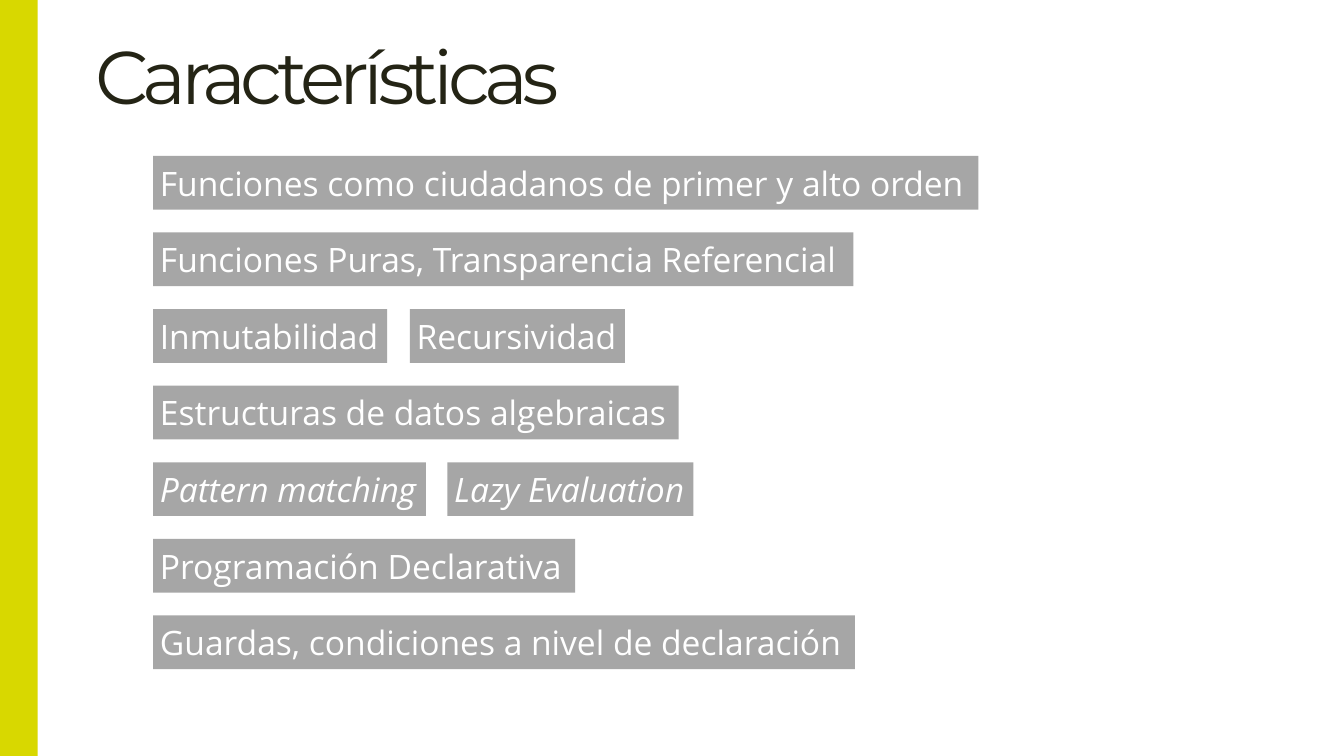
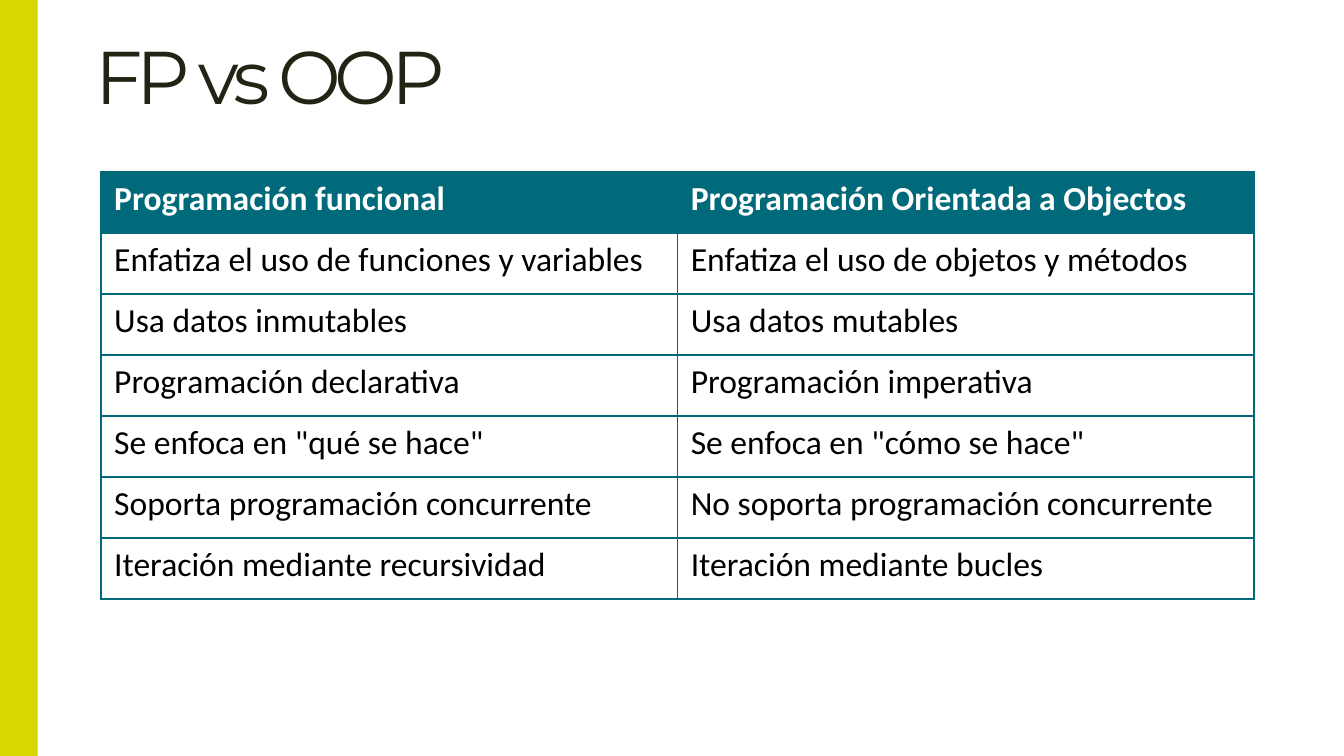
from dataclasses import dataclass

from lxml import etree
from pptx import Presentation
from pptx.dml.color import RGBColor
from pptx.enum.shapes import MSO_SHAPE
from pptx.enum.text import MSO_ANCHOR, MSO_AUTO_SIZE, PP_ALIGN
from pptx.oxml.ns import qn
from pptx.slide import Slide
from pptx.util import Inches, Pt

RECT = MSO_SHAPE.RECTANGLE
TOP, BOTTOM = MSO_ANCHOR.TOP, MSO_ANCHOR.BOTTOM
LEFT = PP_ALIGN.LEFT
GROW = MSO_AUTO_SIZE.SHAPE_TO_FIT_TEXT


@dataclass(frozen=True)
class Theme:
    ink: str = "242415"
    lime: str = "D8D800"
    gray: str = "A6A6A6"
    teal: str = "006A7B"
    white: str = "FFFFFF"
    black: str = "000000"
    head: str = "Montserrat"
    body: str = "Open Sans"
    grid: str = "Calibri"
    big: int = 40
    small: int = 18
    line: int = 1
    tight: int = -3


@dataclass(frozen=True)
class Tag:
    text: str
    row: int
    width: float
    left: float = 1.14
    italic: bool = False


THEME = Theme()
WIDTH = 10
HEIGHT = WIDTH * 9 / 16
TAG_TOP, TAG_STEP, TAG_HEIGHT = 1.16, 0.57, 0.4

TAGS = [
    Tag("Funciones como ciudadanos de primer y alto orden", 0, 6.14),
    Tag("Funciones Puras, Transparencia Referencial", 1, 5.21),
    Tag("Inmutabilidad", 2, 1.74),
    Tag("Recursividad", 2, 1.6, left=3.05),
    Tag("Estructuras de datos algebraicas", 3, 3.91),
    Tag("Pattern matching", 4, 2.03, italic=True),
    Tag("Lazy Evaluation", 4, 1.83, left=3.33, italic=True),
    Tag("Programación Declarativa", 5, 3.14),
    Tag("Guardas, condiciones a nivel de declaración", 6, 5.22),
]

ROWS = [
    ("Programación funcional", "Programación Orientada a Objectos"),
    ("Enfatiza el uso de funciones y variables",
     "Enfatiza el uso de objetos y métodos"),
    ("Usa datos inmutables", "Usa datos mutables"),
    ("Programación declarativa", "Programación imperativa"),
    ('Se enfoca en "qué se hace"', 'Se enfoca en "cómo se hace"'),
    ("Soporta programación concurrente",
     "No soporta programación concurrente"),
    ("Iteración mediante recursividad", "Iteración mediante bucles"),
]


# Shared helpers
def style(frame, font: str, size: int, color: str,
          bold: bool = False, italic: bool = False) -> None:
    for para in frame.paragraphs:
        para.alignment = LEFT
        for run in para.runs:
            run.font.name = font
            run.font.size = Pt(size)
            run.font.color.rgb = RGBColor.from_string(color)
            run.font.bold = bold
            run.font.italic = italic


def inset(frame, pad: float) -> None:
    frame.margin_left = frame.margin_right = Inches(pad)
    frame.margin_top = frame.margin_bottom = Inches(pad)


def block(slide: Slide, left: float, top: float, width: float,
          height: float, color: str):
    shape = slide.shapes.add_shape(
        RECT, Inches(left), Inches(top), Inches(width), Inches(height))
    shape.shadow.inherit = False
    shape.fill.solid()
    shape.fill.fore_color.rgb = RGBColor.from_string(color)
    shape.line.fill.background()
    return shape


def border(cell, color: str, width: int) -> None:
    props = cell._tc.get_or_add_tcPr()
    for side in ("a:lnL", "a:lnR", "a:lnT", "a:lnB"):
        line = etree.SubElement(props, qn(side), w=str(Pt(width)))
        fill = etree.SubElement(line, qn("a:solidFill"))
        etree.SubElement(fill, qn("a:srgbClr"), val=color)


# Title and side band
def start(deck, title: str) -> Slide:
    slide = deck.slides.add_slide(deck.slide_layouts[6])
    box = slide.shapes.add_textbox(
        Inches(0.71), Inches(0), Inches(9.02), Inches(0.89))
    frame = box.text_frame
    frame.word_wrap = True
    frame.vertical_anchor = BOTTOM
    inset(frame, 0)
    frame.text = title
    style(frame, THEME.head, THEME.big, THEME.ink)
    for run in frame.paragraphs[0].runs:
        run.font._element.set("spc", str(THEME.tight * 100))
    block(slide, 0, 0, 0.28, HEIGHT, THEME.lime)
    return slide


# Feature tags
def draw_tag(slide: Slide, tag: Tag) -> None:
    top = TAG_TOP + tag.row * TAG_STEP
    shape = block(slide, tag.left, top, tag.width, TAG_HEIGHT, THEME.gray)
    frame = shape.text_frame
    frame.word_wrap = False
    frame.auto_size = GROW
    frame.vertical_anchor = TOP
    inset(frame, 0.05)
    frame.text = tag.text
    style(frame, THEME.body, THEME.small, THEME.white, italic=tag.italic)


# Comparison table
def draw_table(slide: Slide, rows: list[tuple[str, str]]) -> None:
    table = slide.shapes.add_table(
        len(rows), len(rows[0]), Inches(0.75), Inches(1.28),
        Inches(8.58), Inches(3.18)).table
    table.horz_banding = False
    for r, row in enumerate(rows):
        top = r == 0
        for c, text in enumerate(row):
            cell = table.cell(r, c)
            border(cell, THEME.teal, THEME.line)
            cell.fill.solid()
            cell.fill.fore_color.rgb = RGBColor.from_string(
                THEME.teal if top else THEME.white)
            cell.text_frame.text = text
            style(cell.text_frame, THEME.grid, THEME.small,
                  THEME.white if top else THEME.black, bold=top)


def main() -> None:
    deck = Presentation()
    deck.slide_width, deck.slide_height = Inches(WIDTH), Inches(HEIGHT)

    traits = start(deck, "Características")
    for tag in TAGS:
        draw_tag(traits, tag)

    versus = start(deck, "FP vs OOP")
    draw_table(versus, ROWS)

    deck.save("out.pptx")


if __name__ == "__main__":
    main()
